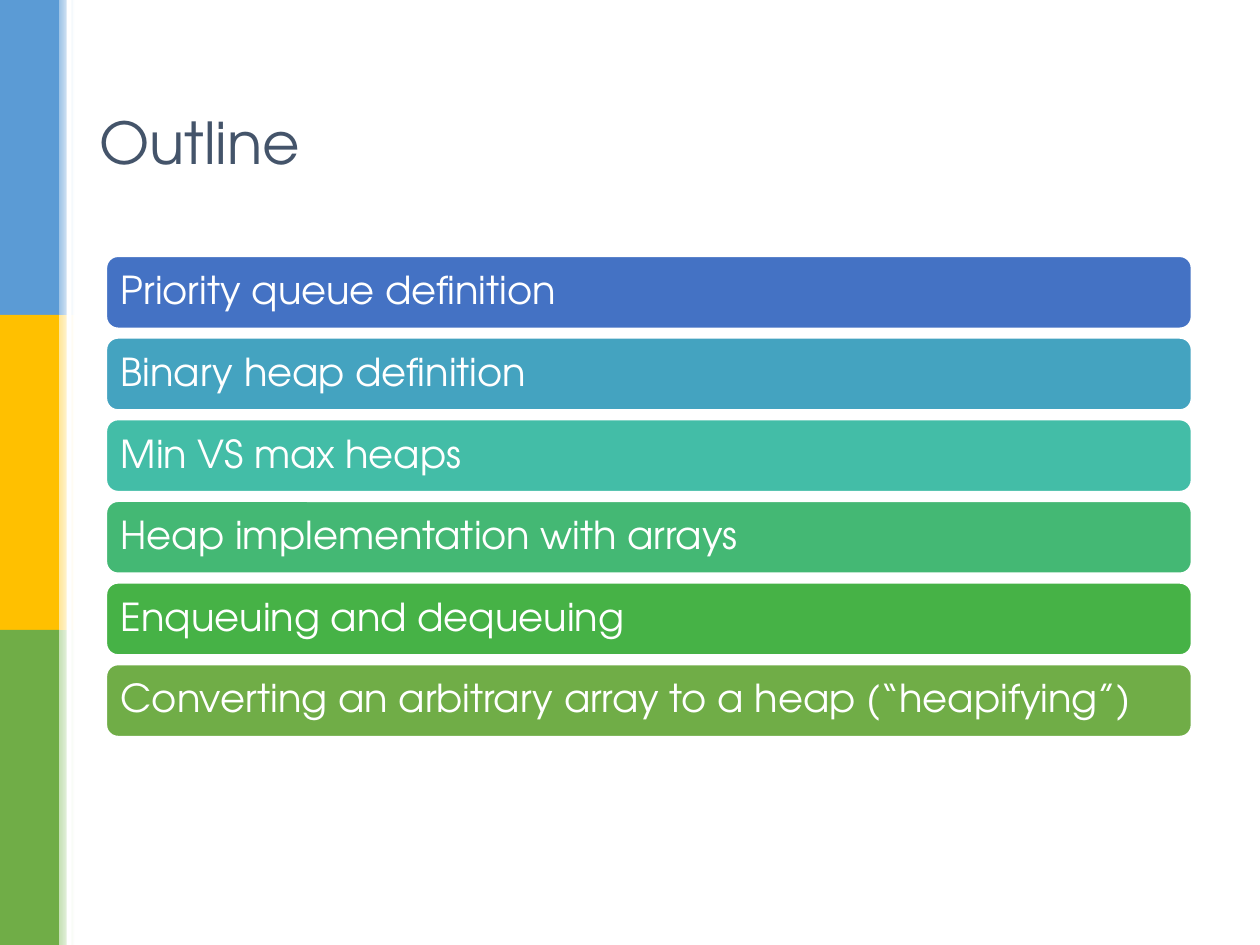
from typing import NamedTuple

from pptx import Presentation
from pptx.dml.color import RGBColor
from pptx.enum.shapes import MSO_SHAPE
from pptx.enum.text import MSO_ANCHOR, PP_ALIGN
from pptx.util import Inches, Pt

RECTANGLE = MSO_SHAPE.RECTANGLE
ROUNDED = MSO_SHAPE.ROUNDED_RECTANGLE
MIDDLE = MSO_ANCHOR.MIDDLE
LEFT = PP_ALIGN.LEFT

FONT = "TeX Gyre Adventor"
WHITE = RGBColor(0xFF, 0xFF, 0xFF)
SLATE = RGBColor(0x44, 0x54, 0x6A)
BLUE = RGBColor(0x5B, 0x9B, 0xD5)
LIGHT_BLUE = RGBColor(0x9D, 0xC3, 0xE6)
GOLD = RGBColor(0xFF, 0xC0, 0x00)
LIGHT_GOLD = RGBColor(0xFF, 0xE6, 0x99)
GREEN = RGBColor(0x70, 0xAD, 0x47)
LIGHT_GREEN = RGBColor(0xC5, 0xE0, 0xB4)
ROYAL_BLUE = RGBColor(0x44, 0x72, 0xC4)
SKY = RGBColor(0x44, 0xA3, 0xC0)
TEAL = RGBColor(0x43, 0xBD, 0xA7)
JADE = RGBColor(0x44, 0xB8, 0x74)
LEAF = RGBColor(0x46, 0xB2, 0x46)

BAND_WIDTH, BAND_HEIGHT, FADE_WIDTH = 0.47, 2.5, 0.12
TOPIC_LEFT, TOPIC_WIDTH, TOPIC_HEIGHT = 0.84, 8.62, 0.58
FIRST_TOPIC_TOP, LAST_TOPIC_TOP = 2.03, 5.27


class Band(NamedTuple):
    color: RGBColor
    fade: RGBColor


class Topic(NamedTuple):
    label: str
    color: RGBColor


BANDS = [Band(BLUE, LIGHT_BLUE), Band(GOLD, LIGHT_GOLD), Band(GREEN, LIGHT_GREEN)]
TOPICS = [
    Topic("Priority queue definition", ROYAL_BLUE),
    Topic("Binary heap definition", SKY),
    Topic("Min VS max heaps", TEAL),
    Topic("Heap implementation with arrays", JADE),
    Topic("Enqueuing and dequeuing", LEAF),
    Topic("Converting an arbitrary array to a heap (“heapifying”)", GREEN),
]


def add_block(slide, kind, left: float, top: float, width: float, height: float,
              color: RGBColor):
    """Add a flat preset shape without outline or shadow."""
    block = slide.shapes.add_shape(
        kind, Inches(left), Inches(top), Inches(width), Inches(height))
    block.shadow.inherit = False
    block.fill.solid()
    block.fill.fore_color.rgb = color
    block.line.fill.background()
    return block


def write_text(frame, text: str, size: float, color: RGBColor):
    frame.word_wrap = True
    frame.vertical_anchor = MIDDLE
    paragraph = frame.paragraphs[0]
    paragraph.text = text
    paragraph.alignment = LEFT
    paragraph.font.name = FONT
    paragraph.font.size = Pt(size)
    paragraph.font.color.rgb = color
    return paragraph


def add_band(slide, band: Band, top: float) -> None:
    """Add a side band and the strip that fades from it to white."""
    add_block(slide, RECTANGLE, 0, top, BAND_WIDTH, BAND_HEIGHT, band.color)
    strip = add_block(slide, RECTANGLE, BAND_WIDTH, top, FADE_WIDTH, BAND_HEIGHT,
                      band.fade)
    strip.fill.gradient()
    strip.fill.gradient_angle = 0
    for stop, color in zip(strip.fill.gradient_stops, (band.fade, WHITE)):
        stop.color.rgb = color


def add_topic(slide, topic: Topic, top: float) -> None:
    bar = add_block(slide, ROUNDED, TOPIC_LEFT, top, TOPIC_WIDTH, TOPIC_HEIGHT,
                    topic.color)
    bar.line.color.rgb = WHITE
    bar.line.width = Pt(1.5)
    frame = bar.text_frame
    frame.margin_left = frame.margin_right = Inches(0.09)
    frame.margin_top = frame.margin_bottom = Inches(0.09)
    write_text(frame, topic.label, 22, WHITE).line_spacing = 0.9


def main() -> None:
    deck = Presentation()
    deck.slide_width, deck.slide_height = Inches(10), Inches(7.5)
    slide = deck.slides.add_slide(deck.slide_layouts[6])

    for row, band in enumerate(BANDS):
        add_band(slide, band, row * BAND_HEIGHT)
    add_block(slide, RECTANGLE, 0.53, 0, 0.04, 7.5, WHITE)

    pitch = (LAST_TOPIC_TOP - FIRST_TOPIC_TOP) / (len(TOPICS) - 1)
    for row, topic in enumerate(TOPICS):
        add_topic(slide, topic, FIRST_TOPIC_TOP + row * pitch)

    title = slide.shapes.add_textbox(
        Inches(0.69), Inches(0.4), Inches(8.62), Inches(1.45))
    write_text(title.text_frame, "Outline", 33, SLATE)

    deck.save("out.pptx")


if __name__ == "__main__":
    main()
